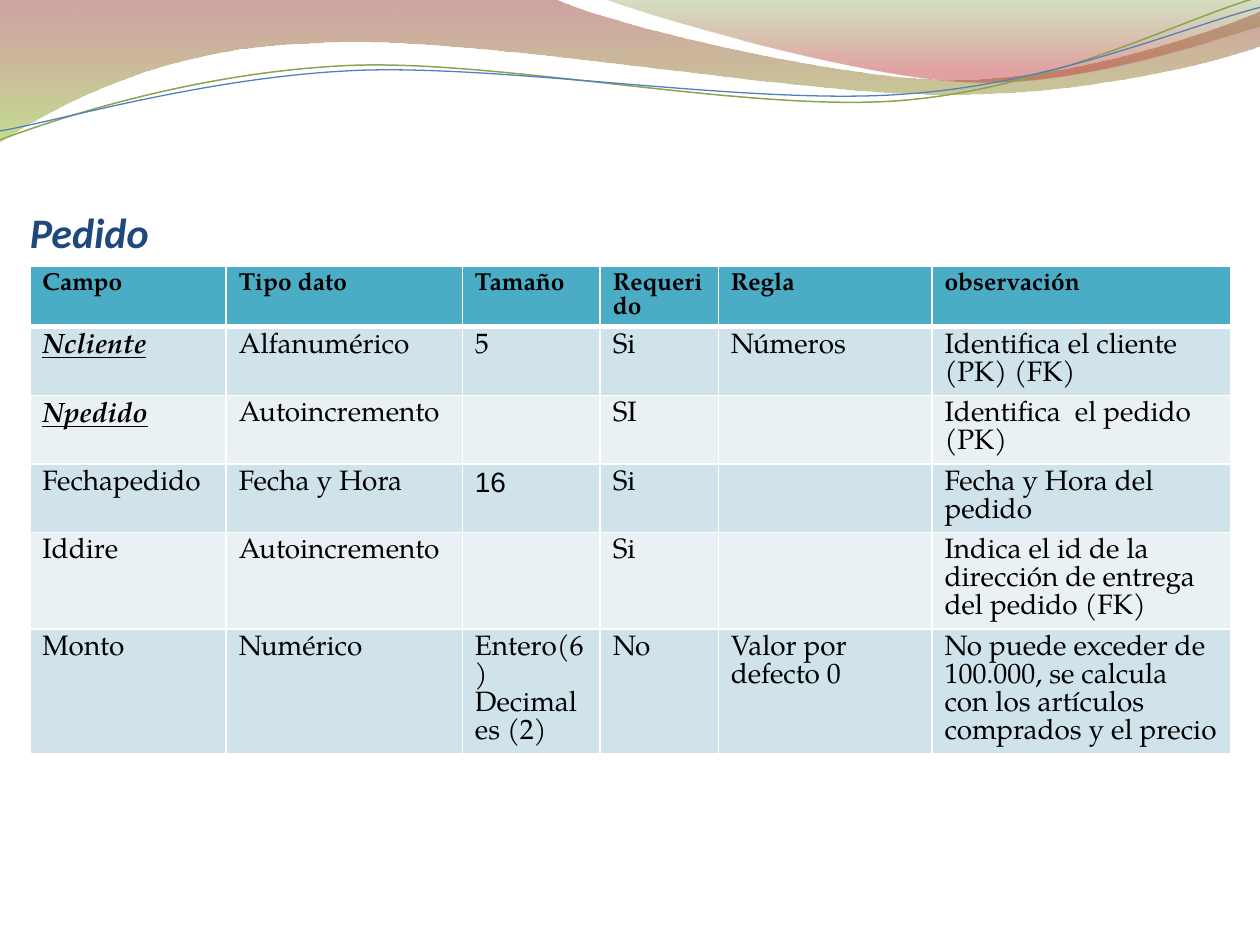
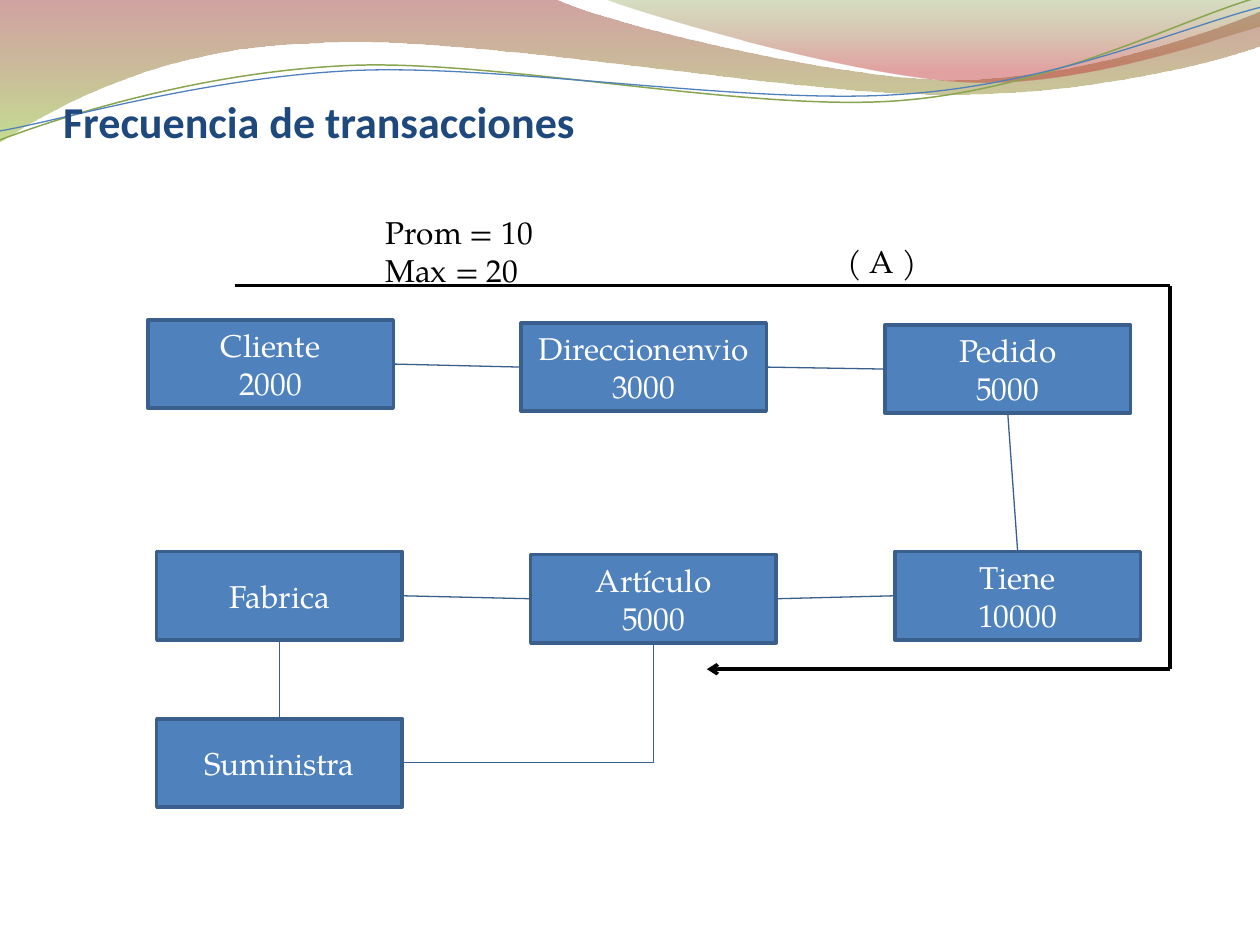
import math

from lxml import etree
from pptx import Presentation
from pptx import util as u
from pptx.dml.color import RGBColor
from pptx.enum import shapes, text
from pptx.oxml.ns import qn

COLORS = {
    "title": "1F497D", "ink": "000000", "white": "FFFFFF",
    "header": "4BACC6", "odd": "D0E3EA", "even": "E9F1F5",
    "node": "4F81BD", "node_line": "3A5F8C", "link": "395F8D",
    "wine": "973330", "lime": "95C238", "olive": "769537", "red": "BE3330",
    "green_wave": "89A54F", "blue_wave": "4F81BD",
}
BODY_FONT = "TeX Gyre Pagella"
TITLE_FONT = "Calibri"
WAVE_TILT = 2.7

BANDS = [
    dict(outline=[(0, 0), (11.18, -0.03),
                  ((12.09, 0.43), (16.87, 1.6), (19.25, 1.6)),
                  ((21.67, 1.6), (24.33, 0.66), (25.4, 0.23)),
                  (25.43, 0.91),
                  ((24.97, 1.12), (22.1, 1.93), (18.95, 1.9)),
                  ((15.8, 1.9), (9.7, 0.71), (6.53, 0.86)),
                  ((3.28, 0.91), (1.17, 2.11), (-0.03, 2.87)),
                  (0, 0)],
         stops=[(0, "wine", 45), (1, "lime", 55)]),
    dict(outline=[(12.17, -0.03),
                  ((12.93, 0.28), (17.32, 1.57), (19.53, 1.65)),
                  ((21.74, 1.75), (24.41, 0.81), (25.4, 0.53)),
                  (25.4, 0), (12.17, -0.03)],
         stops=[(0, "olive", 30), (0.8, "red", 45)]),
    dict(outline=[(0, 2.82),
                  ((1.22, 2.36), (4.01, 1.45), (7.04, 1.32)),
                  ((10.03, 1.19), (15.06, 2.26), (18.11, 2.03)),
                  ((21.16, 1.8), (23.83, 0.38), (25.35, -0.05))],
         line="green_wave", width=0.85, center=(12.67, 1.46)),
    dict(outline=[(0, 2.64),
                  ((1.19, 2.44), (4.17, 1.55), (7.19, 1.42)),
                  ((10.24, 1.3), (15.16, 2.13), (18.21, 1.9)),
                  ((21.23, 1.7), (23.9, 0.53), (25.4, 0.15))],
         line="blue_wave", width=0.75, center=(12.69, 1.5)),
]

COLUMNS = [3.96, 4.76, 2.78, 2.38, 4.31, 6.02]
ROWS = [1.07, 1.19, 1.19, 1.19, 1.27, 1.7]
FIELDS = [
    ["Campo", "Tipo dato", "Tamaño", "Requerido", "Regla", "observación"],
    ["Ncliente", "Alfanumérico", "5", "Si", "Números",
     "Identifica el cliente (PK) (FK)"],
    ["Npedido", "Autoincremento", "", "SI", "", "Identifica  el pedido (PK)"],
    ["Fechapedido", "Fecha y Hora", "16", "Si", "", "Fecha y Hora del pedido "],
    ["Iddire", "Autoincremento", "", "Si", "",
     "Indica el id de la dirección de entrega del pedido (FK)"],
    ["Monto", "Numérico", "Entero(6) Decimales (2)", "No",
     "Valor por defecto 0",
     "No puede exceder de 100.000, se calcula con los artículos "
     "comprados y el precio"],
]
KEYS = ("Ncliente", "Npedido")

NODE_SIZE = (4.95, 1.78)
NODES = {
    "Artículo": (7.72, 7.01, "5000"),
    "Direccionenvio": (7.52, 2.34, "3000"),
    "Pedido": (14.86, 2.38, "5000"),
    "Cliente": (0, 2.28, "2000"),
    "Tiene": (15.06, 6.95, "10000"),
    "Fabrica": (0.18, 6.95, ""),
    "Suministra": (0.18, 10.32, ""),
}
TOP, LEFT, BOTTOM, RIGHT = range(4)
LINKS = [
    ("Cliente", RIGHT, "Direccionenvio", LEFT),
    ("Direccionenvio", RIGHT, "Pedido", LEFT),
    ("Fabrica", RIGHT, "Artículo", LEFT),
    ("Artículo", RIGHT, "Tiene", LEFT),
    ("Pedido", BOTTOM, "Tiene", TOP),
    ("Fabrica", BOTTOM, "Suministra", TOP),
    ("Suministra", RIGHT, "Artículo", BOTTOM),
]
ROUTE = [(1.75, 1.59), (20.61, 1.59), (20.61, 9.32), (11.27, 9.32)]
ROUTE_LABELS = [
    ("( A )", 13.86, 0.58, 1.98, 1.02),
    ("Prom = 10\nMax = 20", 4.54, 0, 3.58, 2.57),
]


def color(name):
    return RGBColor.from_string(COLORS[name])


def write(frame, content, size=18, fill="ink", font=BODY_FONT, bold=False,
          italic=False, underline=False, align=text.PP_ALIGN.LEFT,
          spacing=None):
    for index, line in enumerate(content.split("\n")):
        paragraph = frame.add_paragraph() if index else frame.paragraphs[0]
        paragraph.alignment = align
        if spacing:
            paragraph.line_spacing = u.Pt(spacing)
        run = paragraph.add_run()
        run.text = line
        run.font.name = font
        run.font.size = u.Pt(size)
        run.font.bold = bold
        run.font.italic = italic
        run.font.underline = underline
        run.font.color.rgb = color(fill)


def turn(point, center, degrees):
    angle = math.radians(degrees)
    x, y = point[0] - center[0], point[1] - center[1]
    return (center[0] + x * math.cos(angle) - y * math.sin(angle),
            center[1] + x * math.sin(angle) + y * math.cos(angle))


def draw_outline(slide, outline, center):
    points = []
    for step in outline:
        points += [step] if len(step) == 2 else step
    if center:
        points = [turn(point, center, WAVE_TILT) for point in points]
    points = [(u.Cm(x), u.Cm(y)) for x, y in points]
    builder = slide.shapes.build_freeform(*points[0])
    builder.add_line_segments(points[1:], close=center is None)
    shape = builder.convert_to_shape()
    if center:
        shape.rotation = -WAVE_TILT
    track = next(shape.element.spPr.iter(qn("a:path")))
    segments = iter(track.findall(qn("a:lnTo")))
    for step in outline[1:]:
        segment = next(segments)
        if len(step) == 3:
            segment.tag = qn("a:cubicBezTo")
            for extra in (next(segments), next(segments)):
                segment.append(extra[0])
                track.remove(extra)
    return shape


def fill_gradient(shape, stops):
    shape.fill.gradient()
    shape.fill.gradient_angle = 270
    for stop, (position, name, opacity) in zip(shape.fill.gradient_stops, stops):
        stop.position = position
        stop.color.rgb = color(name)
    gradient = shape.element.spPr.find(qn("a:gradFill"))
    for node, (position, name, opacity) in zip(gradient.iter(qn("a:srgbClr")), stops):
        etree.SubElement(node, qn("a:alpha")).set("val", str(opacity * 1000))


def add_bands(layout, slide):
    for index, band in enumerate(BANDS):
        shape = draw_outline(slide, band["outline"], band.get("center"))
        shape.shadow.inherit = False
        if "stops" in band:
            fill_gradient(shape, band["stops"])
            shape.line.fill.background()
        else:
            shape.fill.background()
            shape.line.color.rgb = color(band["line"])
            shape.line.width = u.Pt(band["width"])
        shape.element.nvSpPr.cNvPr.set("id", str(100 + index))
        layout.shapes.element.insert(2 + index, shape.element)


def place_title(slide, content, left, top, width, height, **style):
    title = slide.shapes.title
    title.left, title.top = u.Cm(left), u.Cm(top)
    title.width, title.height = u.Cm(width), u.Cm(height)
    frame = title.text_frame
    frame.auto_size = text.MSO_AUTO_SIZE.NONE
    frame.vertical_anchor = text.MSO_ANCHOR.BOTTOM
    frame.margin_left = frame.margin_right = frame.margin_bottom = 0
    frame.margin_top = u.Cm(0.13)
    write(frame, content, fill="title", font=TITLE_FONT, bold=True, **style)


def set_borders(cell, widths):
    properties = cell._tc.get_or_add_tcPr()
    for index, (side, width) in enumerate(widths.items()):
        line = etree.Element(qn("a:ln" + side), w=str(u.Pt(width)))
        solid = etree.SubElement(line, qn("a:solidFill"))
        etree.SubElement(solid, qn("a:srgbClr")).set("val", COLORS["white"])
        properties.insert(index, line)


def add_fields_table(slide, left, top, height):
    frame = slide.shapes.add_table(
        len(ROWS), len(COLUMNS), u.Cm(left), u.Cm(top),
        u.Cm(sum(COLUMNS)), u.Cm(height))
    table = frame.table
    for column, width in zip(table.columns, COLUMNS):
        column.width = u.Cm(width)
    for index, (row, row_height) in enumerate(zip(table.rows, ROWS)):
        row.height = u.Cm(row_height)
        header = index == 0
        for cell, content in zip(row.cells, FIELDS[index]):
            cell.fill.solid()
            cell.fill.fore_color.rgb = color(
                "header" if header else "odd" if index % 2 else "even")
            if header:
                set_borders(cell, {"L": 1, "R": 1, "T": 1, "B": 3})
            key = content in KEYS
            if content:
                write(cell.text_frame, content, size=14 if header else 16,
                      spacing=13.6 if header else 16, bold=header or key,
                      italic=key, underline=key,
                      font="Arial" if content == "16" else BODY_FONT)
    frame.height = u.Cm(height)


def add_line(slide, start, end, name, width, kind=shapes.MSO_CONNECTOR.STRAIGHT):
    connector = slide.shapes.add_connector(
        kind, *(u.Cm(value) for value in (*start, *end)))
    connector.line.color.rgb = color(name)
    connector.line.width = u.Pt(width)
    etree.SubElement(connector.element.spPr, qn("a:effectLst"))
    return connector


def add_node(slide, name, count, left, top):
    shape = slide.shapes.add_shape(
        shapes.MSO_SHAPE.RECTANGLE, u.Cm(left), u.Cm(top),
        *(u.Cm(side) for side in NODE_SIZE))
    shape.shadow.inherit = False
    shape.fill.solid()
    shape.fill.fore_color.rgb = color("node")
    shape.line.color.rgb = color("node_line")
    shape.line.width = u.Pt(2)
    shape.text_frame.vertical_anchor = text.MSO_ANCHOR.MIDDLE
    write(shape.text_frame, f"{name}\n{count}" if count else name,
          fill="white", align=text.PP_ALIGN.CENTER)
    return shape


def add_link(slide, source, source_side, target, target_side):
    bent = source_side % 2 != target_side % 2
    kind = shapes.MSO_CONNECTOR.ELBOW if bent else shapes.MSO_CONNECTOR.STRAIGHT
    connector = add_line(slide, (0, 0), (1, 1), "link", 0.75, kind)
    connector.begin_connect(source, source_side)
    connector.end_connect(target, target_side)
    if bent:
        geometry = connector.element.spPr.find(qn("a:prstGeom"))
        geometry.set("prst", "bentConnector2")


def add_transactions_diagram(slide, left, top):
    nodes = {name: add_node(slide, name, count, left + x, top + y)
             for name, (x, y, count) in NODES.items()}
    for source, source_side, target, target_side in LINKS:
        add_link(slide, nodes[source], source_side, nodes[target], target_side)
    corners = [(left + x, top + y) for x, y in ROUTE]
    for start, end in zip(corners, corners[1:]):
        connector = add_line(slide, start, end, "ink", 2)
    line = connector.element.spPr.find(qn("a:ln"))
    etree.SubElement(line, qn("a:tailEnd")).set("type", "arrow")
    for content, x, y, width, height in ROUTE_LABELS:
        box = slide.shapes.add_textbox(
            u.Cm(left + x), u.Cm(top + y), u.Cm(width), u.Cm(height))
        box.text_frame.word_wrap = True
        write(box.text_frame, content)


presentation = Presentation()
presentation.slide_width, presentation.slide_height = u.Cm(25.4), u.Cm(19.05)
title_only = presentation.slide_layouts[5]

order_slide = presentation.slides.add_slide(title_only)
add_bands(title_only, order_slide)
place_title(order_slide, "Pedido", 0.6, 3.54, 22.86, 1.63, size=24, italic=True)
add_fields_table(order_slide, 0.6, 5.37, 11.5)

frequency_slide = presentation.slides.add_slide(title_only)
place_title(frequency_slide, "Frecuencia de transacciones",
            1.27, 1.96, 22.86, 1.02, size=25.2)
add_transactions_diagram(frequency_slide, 2.98, 4.17)

presentation.save("out.pptx")
